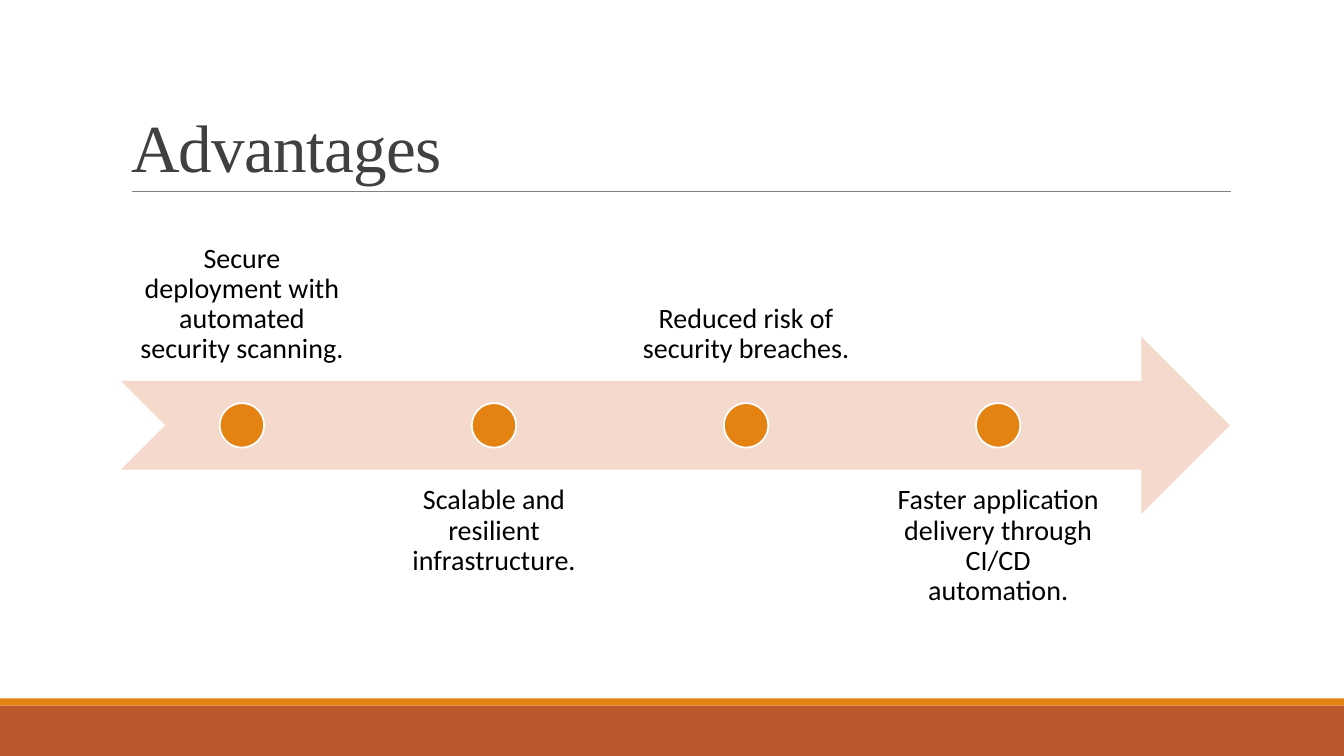
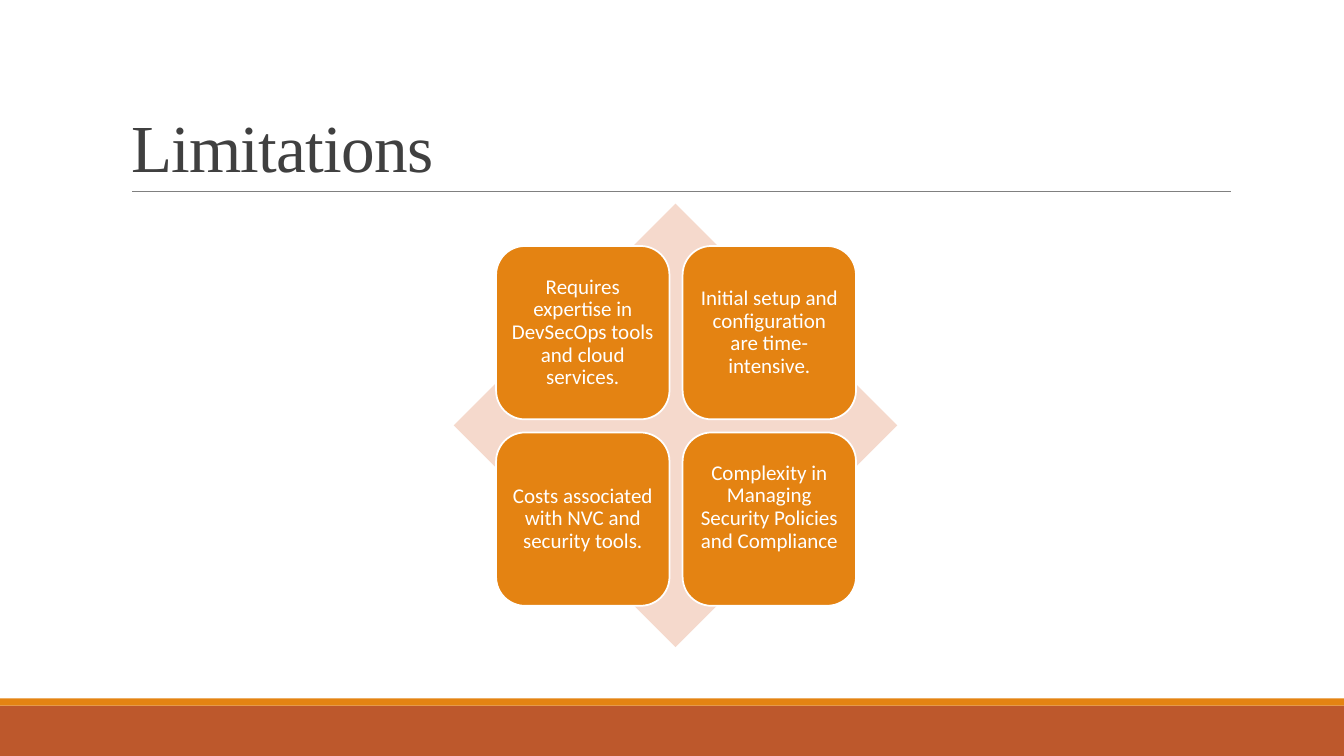
from lxml import etree
from pptx import Presentation
from pptx import util as u
from pptx.dml.color import RGBColor
from pptx.enum import shapes, text
from pptx.oxml import parse_xml
from pptx.oxml.ns import qn

COLORS = {
    "rust": "BD582C",
    "orange": "E48312",
    "blush": "F5D9CC",
    "rule": "808080",
    "title": "404040",
    "black": "000000",
    "white": "FFFFFF",
}
TITLE_STYLE = (
    '<a:lvl1pPr xmlns:a="http://schemas.openxmlformats.org/drawingml/2006/main" algn="l">'
    '<a:lnSpc><a:spcPct val="85000"/></a:lnSpc><a:spcBef><a:spcPct val="0"/></a:spcBef><a:buNone/>'
    f'<a:defRPr sz="4800" spc="-50"><a:solidFill><a:srgbClr val="{COLORS["title"]}"/></a:solidFill>'
    '<a:latin typeface="Times New Roman"/></a:defRPr></a:lvl1pPr>'
)
ADVANTAGES = [
    "Secure deployment with automated security scanning.",
    "Scalable and resilient infrastructure.",
    "Reduced risk of security breaches.",
    "Faster application delivery through CI/CD automation.",
]
LIMITATIONS = [
    ("Requires expertise in DevSecOps tools and cloud services.", 0.06),
    ("Initial setup and configuration are time-intensive.", 0.06),
    ("Costs associated with NVC and security tools.", 0.06),
    ("Complexity in Managing Security Policies and Compliance", 0.29),
]


def color(name):
    return RGBColor.from_string(COLORS[name])


def inches(*lengths):
    return [u.Inches(length) for length in lengths]


def set_values(target, values):
    for name, value in values.items():
        setattr(target, name, value)


def add_figure(page, kind, place, fill, outline=None):
    figure = page.shapes.add_shape(kind, *inches(*place))
    figure.shadow.inherit = False
    figure.fill.solid()
    figure.fill.fore_color.rgb = color(fill)
    if outline:
        figure.line.color.rgb = color(outline)
        figure.line.width = u.Pt(1.25)
    else:
        figure.line.fill.background()
    return figure


def add_rule(page, start, end):
    rule = page.shapes.add_connector(shapes.MSO_CONNECTOR.STRAIGHT, *inches(*start, *end))
    rule.line.color.rgb = color("rule")
    rule.line.width = u.Pt(0.5)
    etree.SubElement(rule.element.spPr, qn("a:effectLst"))
    return rule


def write_text(box, words, size, ink, anchor, inset, bottom_inset=None):
    frame = box.text_frame
    set_values(frame, {
        "word_wrap": True,
        "vertical_anchor": anchor,
        "margin_left": u.Inches(inset),
        "margin_right": u.Inches(inset),
        "margin_top": u.Inches(inset),
        "margin_bottom": u.Inches(bottom_inset or inset),
    })
    para = frame.paragraphs[0]
    set_values(para, {"alignment": text.PP_ALIGN.CENTER, "line_spacing": 0.9})
    span = para.add_run()
    span.text = words
    set_values(span.font, {"name": "Calibri", "size": u.Pt(size)})
    span.font.color.rgb = color(ink)


def style_layout(deck, layout, page):
    title_style = deck.slide_master.element.find(".//" + qn("p:titleStyle"))
    title_style.replace(title_style.find(qn("a:lvl1pPr")), parse_xml(TITLE_STYLE))
    title = layout.placeholders[0]
    left, top, width, height = inches(1.2, 0.31, 11, 1.59)
    set_values(title, {"left": left, "top": top, "width": width, "height": height})
    title.text_frame.vertical_anchor = text.MSO_ANCHOR.BOTTOM
    decorations = [
        add_figure(page, shapes.MSO_SHAPE.RECTANGLE, (0, 7, 13.33, 0.5), "rust"),
        add_figure(page, shapes.MSO_SHAPE.RECTANGLE, (0, 6.93, 13.33, 0.07), "orange"),
        add_rule(page, (1.31, 1.9), (12.21, 1.9)),
    ]
    for number, decoration in enumerate(decorations, 101):
        decoration.element.find(".//" + qn("p:cNvPr")).set("id", str(number))
        layout.shapes.element.append(decoration.element)


def build_timeline(page):
    page.shapes.title.text_frame.text = "Advantages"
    add_figure(page, shapes.MSO_SHAPE.NOTCHED_RIGHT_ARROW, (1.2, 3.34, 11, 1.76), "blush")
    width, height, dot, step = 2.38, 1.76, 0.44, 2.5
    for index, words in enumerate(ADVANTAGES):
        left = 1.21 + index * step
        above = index % 2 == 0
        top = 2.02 if above else 4.66
        anchor = text.MSO_ANCHOR.BOTTOM if above else text.MSO_ANCHOR.TOP
        box = page.shapes.add_textbox(*inches(left, top, width, height))
        write_text(box, words, 20, "black", anchor, 0.16)
        place = (left + (width - dot) / 2, 4, dot, dot)
        add_figure(page, shapes.MSO_SHAPE.OVAL, place, "orange", "white")


def build_matrix(page):
    page.shapes.title.text_frame.text = "Limitations"
    add_figure(page, shapes.MSO_SHAPE.DIAMOND, (4.5, 2.02, 4.4, 4.4), "blush")
    side, gap = 1.72, 0.13
    for index, (words, bottom_inset) in enumerate(LIMITATIONS):
        row, column = divmod(index, 2)
        place = (4.92 + column * (side + gap), 2.44 + row * (side + gap), side, side)
        box = add_figure(page, shapes.MSO_SHAPE.ROUNDED_RECTANGLE, place, "orange", "white")
        write_text(box, words, 15, "white", text.MSO_ANCHOR.MIDDLE, 0.06, bottom_inset)


def main():
    deck = Presentation()
    deck.slide_width, deck.slide_height = inches(13.33, 7.5)
    layout = deck.slide_layouts[5]
    pages = [deck.slides.add_slide(layout) for _ in range(2)]
    style_layout(deck, layout, pages[0])
    build_timeline(pages[0])
    build_matrix(pages[1])
    deck.save("out.pptx")


if __name__ == "__main__":
    main()
